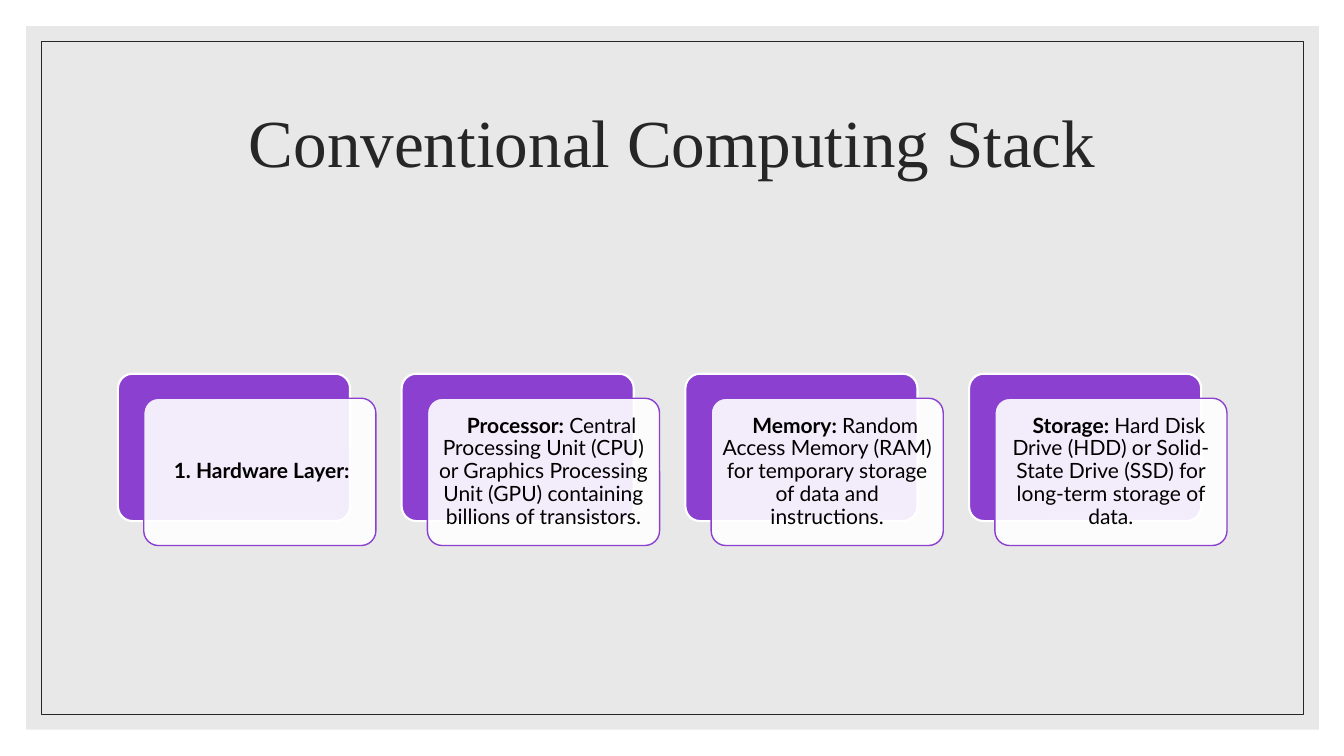
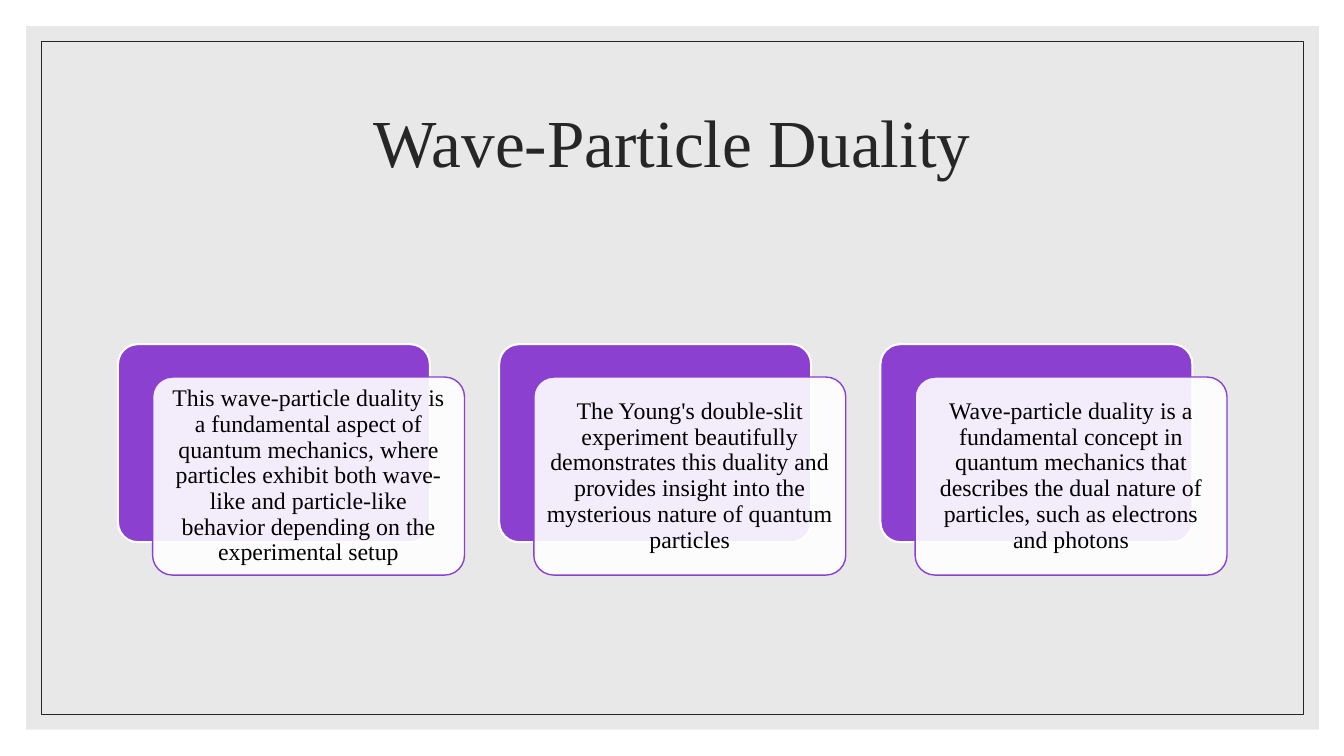
import pptx
import pptx.dml.color
import pptx.enum.shapes
import pptx.enum.text
import pptx.oxml
import pptx.oxml.ns
import pptx.util

Inches = pptx.util.Inches
Pt = pptx.util.Pt
Shapes = pptx.enum.shapes.MSO_SHAPE


def color(code):
    return pptx.dml.color.RGBColor.from_string(code)


class CardDeck:
    """Holds the shared style and the slide being drawn."""

    WHITE = "FFFFFF"
    GREY = "D9D9D9"
    DARK = "262626"
    BLACK = "000000"
    PURPLE = "8B40D0"
    SERIF = "Times New Roman"
    SANS = "Lato"
    LEFT, WIDTH = 1.17, 11
    CARDS_MIDDLE = 4.56

    def __init__(self):
        self.deck = pptx.Presentation()
        self.deck.slide_width = Inches(13.33)
        self.deck.slide_height = Inches(7.5)
        self.slide = None

    def add_slide(self, title):
        self.slide = self.deck.slides.add_slide(self.deck.slide_layouts[6])
        background = self.slide.background.fill
        background.solid()
        background.fore_color.rgb = color(self.WHITE)
        self.shape(Shapes.RECTANGLE, 0.26, 0.26, 12.82, 6.98, fill=self.GREY, opacity=60)
        self.shape(Shapes.RECTANGLE, 0.41, 0.41, 12.52, 6.68, line=self.DARK, weight=0.5)
        box = self.slide.shapes.add_textbox(
            Inches(self.LEFT), Inches(0.7), Inches(self.WIDTH), Inches(1.5))
        self.text(box, [(title, False)], self.SERIF, 48, self.DARK)

    def shape(self, kind, left, top, width, height, fill=None, opacity=100, line=None, weight=1):
        shape = self.slide.shapes.add_shape(
            kind, Inches(left), Inches(top), Inches(width), Inches(height))
        shape.shadow.inherit = False
        if kind == Shapes.ROUNDED_RECTANGLE:
            shape.adjustments[0] = 0.1
        if fill:
            shape.fill.solid()
            shape.fill.fore_color.rgb = color(fill)
        else:
            shape.fill.background()
        if opacity < 100:
            tint = shape.fill._xPr.find(".//" + pptx.oxml.ns.qn("a:srgbClr"))
            alpha = pptx.oxml.parse_xml(
                f'<a:alpha {pptx.oxml.ns.nsdecls("a")} val="{opacity * 1000}"/>')
            tint.append(alpha)
        if line:
            shape.line.color.rgb = color(line)
            shape.line.width = Pt(weight)
        else:
            shape.line.fill.background()
        return shape

    def text(self, box, spans, font, size, ink, inset=0.1, indent=0):
        frame = box.text_frame
        frame.word_wrap = True
        frame.vertical_anchor = pptx.enum.text.MSO_ANCHOR.MIDDLE
        frame.margin_left = frame.margin_right = Inches(inset)
        frame.margin_top = frame.margin_bottom = Inches(min(inset, 0.07))
        para = frame.paragraphs[0]
        para.alignment = pptx.enum.text.PP_ALIGN.CENTER
        para.line_spacing = 0.9
        if indent:
            para._p.get_or_add_pPr().set("indent", str(Inches(indent)))
        for words, bold in spans:
            span = para.add_run()
            span.text = words
            span.font.name = font
            span.font.size = Pt(size)
            span.font.bold = bold
            span.font.color.rgb = color(ink)

    def cards(self, entries, font, size, inset):
        width = self.WIDTH * 9 / (11 * len(entries) - 1)
        pitch = width * 11 / 9
        height = width * 0.635
        shift_right, shift_down = width / 9, width * 0.1055
        top = self.CARDS_MIDDLE - (height + shift_down) / 2
        for index, (spans, indent) in enumerate(entries):
            left = self.LEFT + index * pitch
            self.shape(Shapes.ROUNDED_RECTANGLE, left, top, width, height,
                       fill=self.PURPLE, line=self.WHITE, weight=1.5)
            front = self.shape(Shapes.ROUNDED_RECTANGLE, left + shift_right, top + shift_down,
                               width, height, fill=self.WHITE, opacity=90, line=self.PURPLE)
            self.text(front, spans, font, size, self.BLACK, inset, indent)


def main():
    show = CardDeck()

    show.add_slide("Conventional Computing Stack")
    parts = [
        ("Processor:", "Central Processing Unit (CPU) or Graphics Processing Unit (GPU) "
                       "containing billions of transistors."),
        ("Memory:", "Random Access Memory (RAM) for temporary storage of data and instructions."),
        ("Storage:", "Hard Disk Drive (HDD) or Solid-State Drive (SSD) for long-term storage "
                     "of data."),
    ]
    layer = [([("1. Hardware Layer:", True)], 0.04)]
    layer += [([(label + " ", True), (detail, False)], 0.16) for label, detail in parts]
    show.cards(layer, show.SANS, 15, 0.06)

    show.add_slide("Wave-Particle Duality")
    statements = [
        "This wave-particle duality is a fundamental aspect of quantum mechanics, where "
        "particles exhibit both wave-like and particle-like behavior depending on the "
        "experimental setup",
        "The Young's double-slit experiment beautifully demonstrates this duality and "
        "provides insight into the mysterious nature of quantum particles",
        "Wave-particle duality is a fundamental concept in quantum mechanics that describes "
        "the dual nature of particles, such as electrons and photons",
    ]
    show.cards([([(words, False)], 0) for words in statements], show.SERIF, 17, 0.07)

    show.deck.save("out.pptx")


if __name__ == "__main__":
    main()
